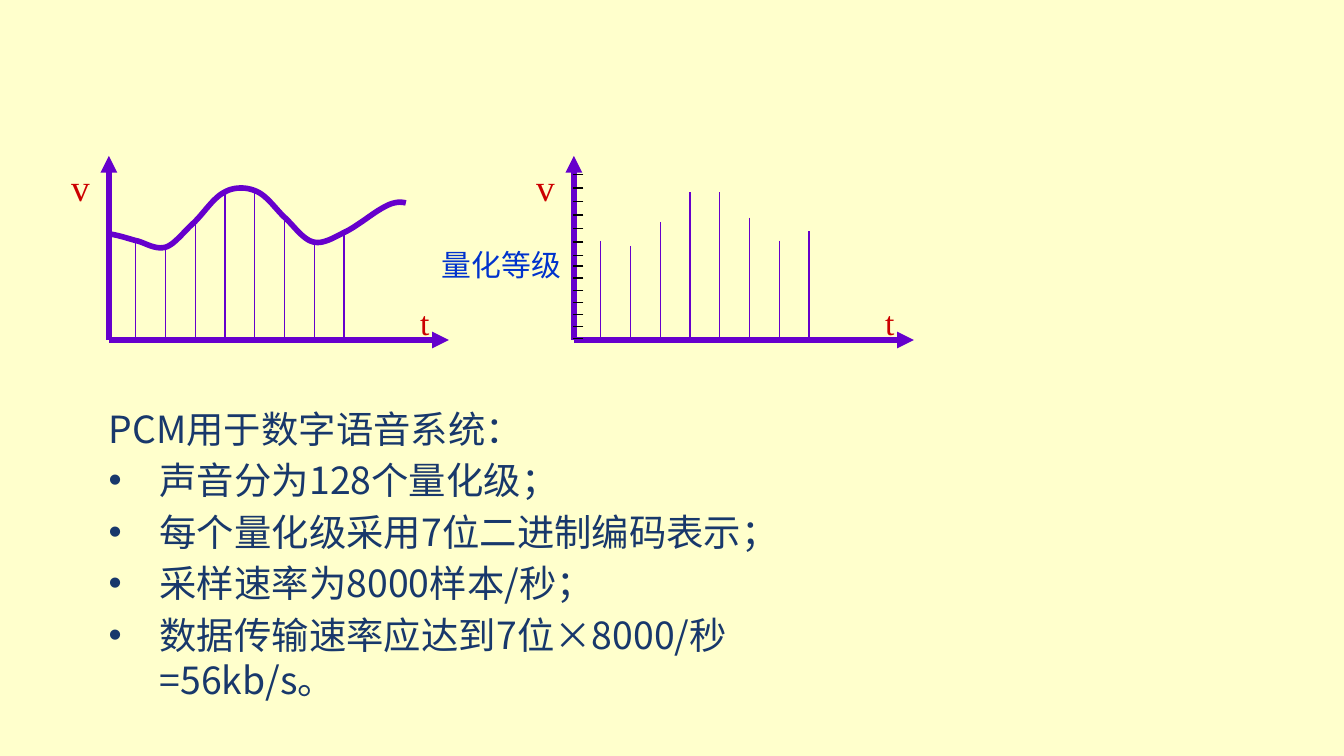
from lxml.etree import SubElement
from pptx import Presentation
from pptx.dml.color import RGBColor
from pptx.enum.shapes import MSO_CONNECTOR
from pptx.enum.text import PP_ALIGN
from pptx.oxml.ns import qn
from pptx.util import Inches, Pt

CREAM = RGBColor(0xFF, 0xFF, 0xCC)
NAVY = RGBColor(0x18, 0x38, 0x6B)
PURPLE = RGBColor(0x66, 0x00, 0xCC)
RED = RGBColor(0xCC, 0x00, 0x00)
BLUE = RGBColor(0x00, 0x33, 0xCC)
BLACK = RGBColor(0x00, 0x00, 0x00)
SANS = "Noto Sans CJK SC"
SERIF = "Times New Roman"

SLIDE_WIDTH = Inches(10)
SLIDE_HEIGHT = SLIDE_WIDTH * 9 // 16

HEADING = "PCM用于数字语音系统："
POINTS = [
    "声音分为128个量化级；",
    "每个量化级采用7位二进制编码表示；",
    "采样速率为8000样本/秒；",
    "数据传输速率应达到7位×8000/秒\v=56kb/s。",
]
LEVEL_LABEL = "量化等级"

# Both plots share one geometry, measured from each plot's origin.
ORIGINS = (0.81, 4.27)
BASELINE, AXIS_TOP, AXIS_LENGTH = 2.53, 1.16, 2.53
FIRST_SAMPLE, LAST_SAMPLE = 0.2, 1.75
SAMPLE_TOPS = [1.79, 1.83, 1.65, 1.43, 1.43, 1.62, 1.79, 1.72]
SAMPLE_STEP = (LAST_SAMPLE - FIRST_SAMPLE) / (len(SAMPLE_TOPS) - 1)
TICKS = [1.3 + 0.1 * i for i in range(7)] + [1.98 + 0.09 * i for i in range(7)]
AXIS_LABELS = [  # text, offset from origin, top, width, height, size
    ("t", 2.16, 2.2, 0.38, 0.4, 18),
    ("v", -0.38, 1.17, 0.29, 0.43, 20),
]
SIGNAL_START = (0.81, 1.74)
SIGNAL_CURVES = [  # two control points and an end point each
    ((0.88, 1.75), (0.94, 1.77), (1.01, 1.79)),
    ((1.07, 1.8), (1.15, 1.86), (1.23, 1.84)),
    ((1.3, 1.82), (1.37, 1.72), (1.45, 1.65)),
    ((1.52, 1.58), (1.59, 1.47), (1.67, 1.43)),
    ((1.74, 1.39), (1.83, 1.39), (1.9, 1.42)),
    ((1.98, 1.45), (2.04, 1.54), (2.11, 1.61)),
    ((2.18, 1.67), (2.25, 1.78), (2.33, 1.8)),
    ((2.4, 1.82), (2.48, 1.77), (2.56, 1.73)),
    ((2.65, 1.69), (2.78, 1.58), (2.86, 1.54)),
    ((2.93, 1.5), (2.98, 1.5), (3.02, 1.51)),
]
CURVE_STEPS = 12


def add_line(page, start, end, color=PURPLE, width=0.75, arrow=False):
    line = page.shapes.add_connector(
        MSO_CONNECTOR.STRAIGHT, *(Inches(value) for value in (*start, *end)))
    line.line.color.rgb = color
    line.line.width = Pt(width)
    if arrow:
        SubElement(line.line._get_or_add_ln(), qn("a:tailEnd"), type="triangle")
    SubElement(line._element.spPr, qn("a:effectLst"))


def add_box(page, left, top, width, height):
    box = page.shapes.add_textbox(*map(Inches, (left, top, width, height)))
    box.text_frame.word_wrap = True
    return box.text_frame


def set_font(para, name, size, color):
    para.font.name = name
    para.font.size = Pt(size)
    para.font.color.rgb = color
    for span in para.runs:
        SubElement(span._r.get_or_add_rPr(), qn("a:ea"), typeface=SANS)


def add_label(page, text, place, size, color):
    para = add_box(page, *place).paragraphs[0]
    para.text = text
    para.alignment = PP_ALIGN.CENTER
    set_font(para, SERIF, size, color)


def add_plot(page, origin):
    corner = (origin, BASELINE)
    add_line(page, corner, (origin, AXIS_TOP), width=3, arrow=True)
    add_line(page, corner, (origin + AXIS_LENGTH, BASELINE), width=3, arrow=True)
    for index, top in enumerate(SAMPLE_TOPS):
        x = origin + FIRST_SAMPLE + SAMPLE_STEP * index
        add_line(page, (x, top), (x, BASELINE))
    for text, offset, top, width, height, size in AXIS_LABELS:
        add_label(page, text, (origin + offset, top, width, height), size, RED)


def curve_points():
    """Points along the joined cubic Bezier curves of the signal."""
    start = SIGNAL_START
    for first, second, end in SIGNAL_CURVES:
        for step in range(1, CURVE_STEPS + 1):
            t = step / CURVE_STEPS
            u = 1 - t
            yield tuple(
                Inches(u**3 * a + 3 * u * u * t * b + 3 * u * t * t * c + t**3 * d)
                for a, b, c, d in zip(start, first, second, end))
        start = end


def add_signal(page):
    builder = page.shapes.build_freeform(*map(Inches, SIGNAL_START))
    builder.add_line_segments(list(curve_points()), close=False)
    signal = builder.convert_to_shape()
    signal.shadow.inherit = False
    signal.fill.background()
    signal.line.color.rgb = PURPLE
    signal.line.width = Pt(3)


def add_body(page):
    frame = add_box(page, 0.71, 2.97, 6.5, 2.28)
    for index, text in enumerate([HEADING] + POINTS):
        para = frame.add_paragraph() if index else frame.paragraphs[0]
        para.text = text
        properties = para._p.get_or_add_pPr()
        properties.set("marL", str(Inches(0.38)))
        properties.set("indent", str(-Inches(0.38)))
        if index:
            para.space_before = Pt(3.6)
            SubElement(properties, qn("a:buFont"), typeface="Arial")
            SubElement(properties, qn("a:buChar"), char="•")
        set_font(para, SANS, 20, NAVY)


def main():
    deck = Presentation()
    deck.slide_width, deck.slide_height = SLIDE_WIDTH, SLIDE_HEIGHT
    page = deck.slides.add_slide(deck.slide_layouts[6])
    page.background.fill.solid()
    page.background.fill.fore_color.rgb = CREAM
    add_body(page)
    for origin in ORIGINS:
        add_plot(page, origin)
    add_signal(page)
    for level in TICKS:
        add_line(page, (ORIGINS[1] + 0.07, level), (ORIGINS[1] - 0.01, level), BLACK)
    add_label(page, LEVEL_LABEL, (2.94, 1.79, 1.58, 0.37), 16, BLUE)
    deck.save("out.pptx")


if __name__ == "__main__":
    main()
